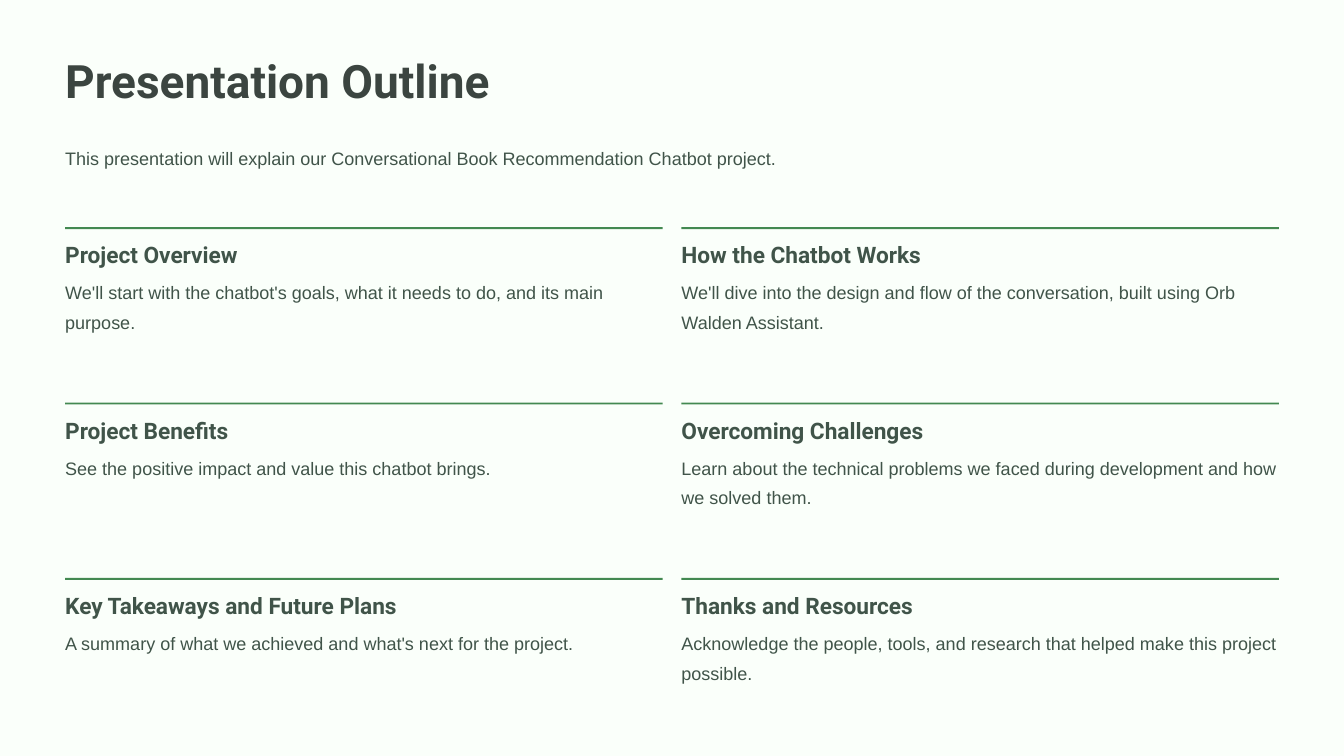
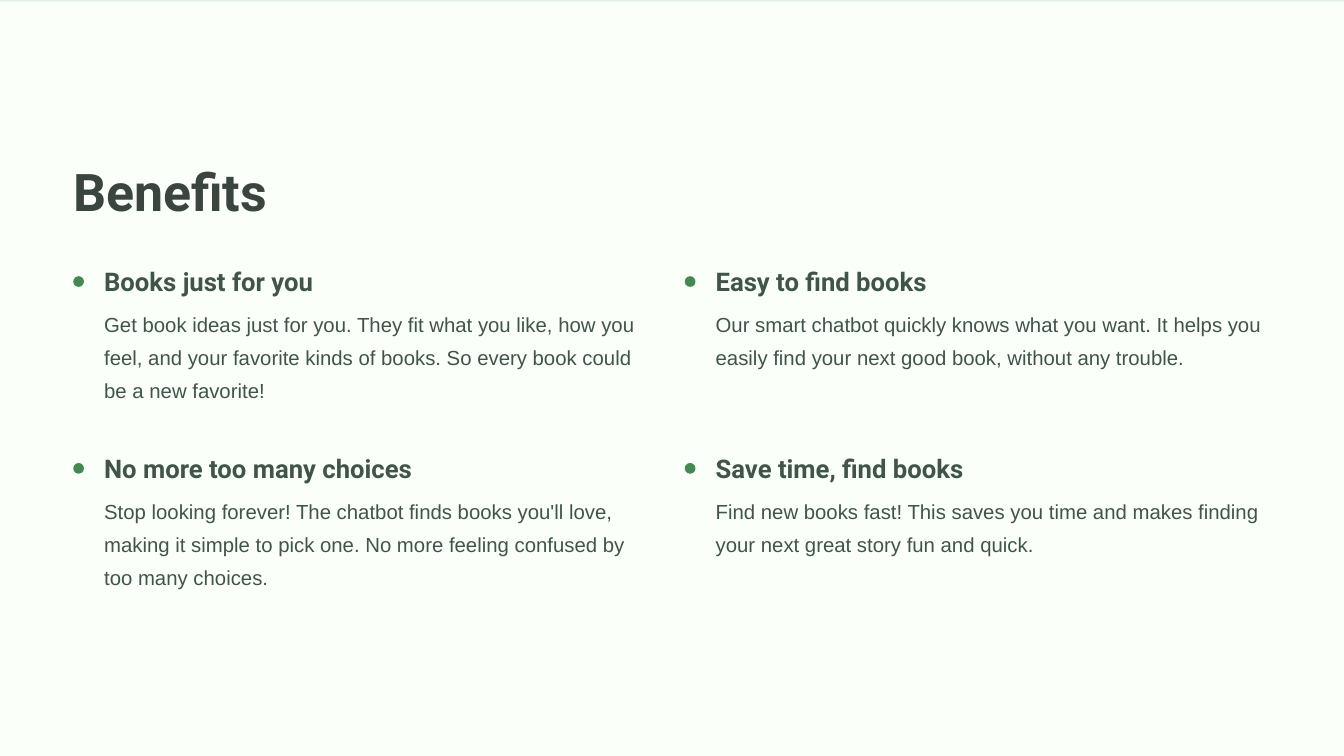
from pptx import Presentation
from pptx.dml.color import RGBColor
from pptx.enum.shapes import MSO_SHAPE as SHAPE
from pptx.enum.text import MSO_ANCHOR, MSO_AUTO_SIZE, PP_ALIGN
from pptx.util import Inches, Pt

PAPER = RGBColor(0xFA, 0xFF, 0xFA)
MINT = RGBColor(0xDE, 0xEE, 0xE1)
WHITE = RGBColor(0xFF, 0xFF, 0xFF)
GREEN = RGBColor(0x43, 0x89, 0x51)
TITLE_INK = RGBColor(0x3B, 0x45, 0x40)
BODY_INK = RGBColor(0x40, 0x54, 0x49)
HEAD_FONT = "Roboto"
BODY_FONT = "Arial"
WIDTH, HEIGHT = 20, 11.25

LEAD = "This presentation will explain our Conversational Book Recommendation Chatbot project."
OUTLINE = [
    ("Project Overview",
     "We'll start with the chatbot's goals, what it needs to do, and its main purpose."),
    ("How the Chatbot Works",
     "We'll dive into the design and flow of the conversation, built using Orb Walden Assistant."),
    ("Project Benefits",
     "See the positive impact and value this chatbot brings."),
    ("Overcoming Challenges",
     "Learn about the technical problems we faced during development and how we solved them."),
    ("Key Takeaways and Future Plans",
     "A summary of what we achieved and what's next for the project."),
    ("Thanks and Resources",
     "Acknowledge the people, tools, and research that helped make this project possible."),
]
BENEFITS = [
    ("Books just for you",
     "Get book ideas just for you. They fit what you like, how you feel, and your favorite "
     "kinds of books. So every book could be a new favorite!"),
    ("Easy to find books",
     "Our smart chatbot quickly knows what you want. It helps you easily find your next good "
     "book, without any trouble."),
    ("No more too many choices",
     "Stop looking forever! The chatbot finds books you'll love, making it simple to pick one. "
     "No more feeling confused by too many choices."),
    ("Save time, find books",
     "Find new books fast! This saves you time and makes finding your next great story fun "
     "and quick."),
]


def add_text(s, text, box, size, spacing, font=BODY_FONT, color=BODY_INK, bold=False, sp=None):
    box = [Inches(v) for v in box]
    if sp is None:
        sp = s.shapes.add_textbox(*box)
    else:
        sp.left, sp.top, sp.width, sp.height = box
    tf = sp.text_frame
    tf.word_wrap = True
    tf.auto_size = MSO_AUTO_SIZE.NONE
    tf.vertical_anchor = MSO_ANCHOR.TOP
    tf.margin_left = tf.margin_right = tf.margin_top = tf.margin_bottom = 0
    p = tf.paragraphs[0]
    p.alignment = PP_ALIGN.LEFT
    p.line_spacing = Pt(spacing)
    r = p.add_run()
    r.text = text
    r.font.name = font
    r.font.size = Pt(size)
    r.font.bold = bold
    r.font.color.rgb = color


def add_mark(s, kind, box, color=GREEN):
    sp = s.shapes.add_shape(kind, *[Inches(v) for v in box])
    sp.shadow.inherit = False
    sp.fill.solid()
    sp.fill.fore_color.rgb = color
    sp.line.fill.background()


def add_slide(prs, title, box, size, spacing, paper_top=0):
    s = prs.slides.add_slide(prs.slide_layouts[5])
    s.background.fill.solid()
    s.background.fill.fore_color.rgb = WHITE
    for top, color in ((0, MINT), (paper_top, PAPER)):
        add_mark(s, SHAPE.RECTANGLE, (0, top, WIDTH, HEIGHT - top), color)
    sp = s.shapes.title
    s.shapes.element.append(sp.element)
    add_text(s, title, box, size, spacing, HEAD_FONT, TITLE_INK, True, sp)
    return s


def grid(items, left, top, col_step, row_step):
    for i, (head, body) in enumerate(items):
        row, col = divmod(i, 2)
        yield left + col * col_step, top + row * row_step, head, body


def build_outline(prs):
    left, col_w = 0.97, 8.89
    s = add_slide(prs, "Presentation Outline", (left, 0.74, 7.37, 0.89), 49.3, 61.9)
    add_text(s, LEAD, (left, 2.08, 18.06, 0.55), 19.3, 31.9)
    for x, y, head, body in grid(OUTLINE, left, 3.38, 9.17, 2.61):
        add_mark(s, SHAPE.RECTANGLE, (x, y, col_w, 0.03))
        add_text(s, head, (x, y + 0.19, col_w, 0.44), 24.3, 30.6, HEAD_FONT, bold=True)
        add_text(s, body, (x, y + 0.69, col_w, 0.99), 19.3, 31.9)


def build_benefits(prs):
    left, col_w, indent, dot = 1.09, 8.26, 0.46, 0.16
    s = add_slide(prs, "Benefits", (left, 2.34, 7.75, 0.99), 55.6, 69.4, paper_top=0.02)
    for x, y, head, body in grid(BENEFITS, left, 3.94, 9.1, 2.78):
        add_mark(s, SHAPE.OVAL, (x, y + 0.17, dot, dot))
        add_text(s, head, (x + indent, y, col_w, 0.49), 27.5, 34.4, HEAD_FONT, bold=True)
        add_text(s, body, (x + indent, y + 0.57, col_w, 1.6), 21.8, 35.6)


def main():
    prs = Presentation()
    prs.slide_width, prs.slide_height = Inches(WIDTH), Inches(HEIGHT)
    build_outline(prs)
    build_benefits(prs)
    prs.save("out.pptx")


if __name__ == "__main__":
    main()
